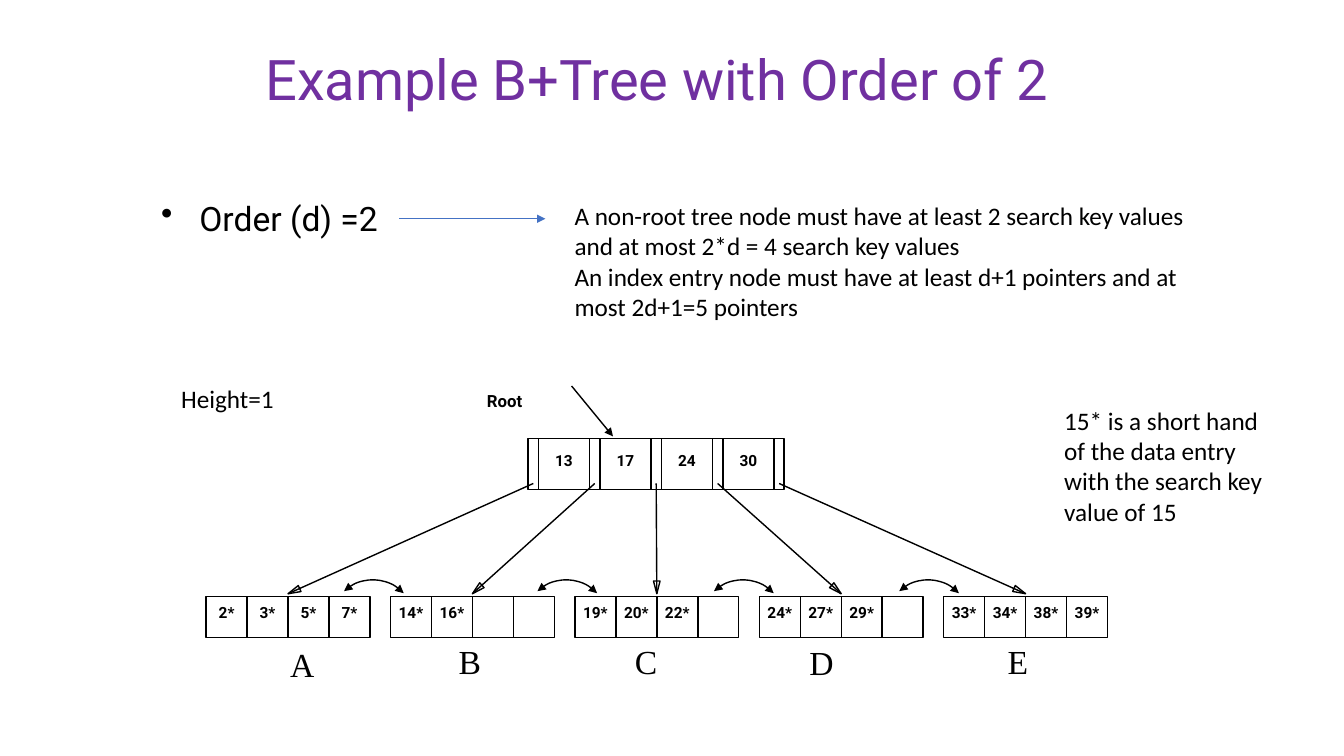
"""Build the slide that explains a B+ tree of order 2."""
import math
from dataclasses import dataclass

import pptx
import pptx.dml.color
import pptx.enum.dml
import pptx.enum.shapes
import pptx.enum.text
import pptx.oxml
import pptx.oxml.ns
import pptx.util

RGBColor = pptx.dml.color.RGBColor
PURPLE = RGBColor(0x70, 0x30, 0xA0)
BLUE = RGBColor(0x44, 0x72, 0xC4)
BLACK = RGBColor(0, 0, 0)

SLIDE_WIDTH = pptx.util.Emu(12192000)
SLIDE_HEIGHT = pptx.util.Inches(7.5)
COLUMN = SLIDE_WIDTH / 32.8

SLOT, KEY, NODE_HEIGHT = 0.25, 1.25, 1.25
ROOT_LEFT, ROOT_TOP = 12.89, 10.70
ROOT_KEYS = ("13", "17", "24", "30")
LEAF_LEFT, LEAF_TOP, LEAF_PITCH, LEAF_CELLS = 5.03, 14.56, 4.5, 4
POINTER_START, POINTER_TIP = ROOT_TOP + 1.1, LEAF_TOP - 0.07
HEAD_LENGTH, HEAD_HALF = 0.31, 0.08
SIBLING_CENTRES = (9.10, 13.82, 18.13, 22.65)
SIBLING_MIDDLE, SIBLING_RADIUS = 15.18, 1.03


@dataclass(frozen=True)
class Box:
    """A place on the slide, in grid columns."""
    left: float
    top: float
    width: float
    height: float

    def emu(self) -> tuple[int, ...]:
        """Give the place in slide units."""
        return tuple(grid(n) for n in (self.left, self.top, self.width, self.height))


@dataclass(frozen=True)
class Style:
    """The look of a run."""
    font: str
    size: float
    bold: bool = False
    color: RGBColor = BLACK


@dataclass(frozen=True)
class Note:
    """A free-standing text."""
    box: Box
    style: Style
    paragraphs: tuple[str, ...]
    wrap: bool = False


@dataclass(frozen=True)
class Leaf:
    """A leaf node with the place of its letter."""
    letter: str
    entries: tuple[str, ...]
    letter_left: float
    letter_top: float = 15.52


@dataclass(frozen=True)
class Arrow:
    """A straight arrow between two grid points."""
    start: tuple[float, float]
    end: tuple[float, float]
    color: RGBColor = BLACK
    width: float = 1
    head: bool = True


TITLE = Style("Roboto", 40, color=PURPLE)
BULLET = Style("Roboto", 24)
BODY = Style("Calibri", 18)
LETTER = Style("Times New Roman", 24)
ROOT_LABEL = Style("Roboto", 12, True)
ENTRY = Style("Roboto", 11, True)

LEAVES = (
    Leaf("A", ("2*", "3*", "5*", "7*"), 6.84, 15.60),
    Leaf("B", ("14*", "16*"), 10.95),
    Leaf("C", ("19*", "20*", "22*"), 15.25),
    Leaf("D", ("24*", "27*", "29*"), 19.51, 15.55),
    Leaf("E", ("33*", "34*", "38*", "39*"), 24.35),
)
NOTES = (
    Note(Box(11.64, 9.42, 1.38, 0.74), ROOT_LABEL, ("Root",)),
    Note(Box(4.18, 9.23, 2.78, 0.98), BODY, ("Height=1",)),
    Note(Box(25.73, 9.77, 5.83, 3.22), BODY,
         ("15* is a short hand of the data entry with the search key value of 15",), True),
    Note(Box(13.78, 4.77, 16.41, 3.22), BODY,
         ("A non-root tree node must have at least 2 search key values and at most 2*d = 4 search key values",
          "An index entry node must have at least d+1 pointers and at most 2d+1=5 pointers"), True),
)
ARROWS = (
    Arrow((13.95, 9.42), (14.96, 10.65)),
    Arrow((9.74, 5.34), (13.31, 5.34), BLUE, 0.5),
)


def grid(columns: float) -> int:
    """Turn grid columns into slide units."""
    return round(columns * COLUMN)


def write(paragraph, text: str, style: Style) -> None:
    """Add one styled run."""
    run = paragraph.add_run()
    run.text = text
    run.font.name, run.font.size, run.font.bold = style.font, pptx.util.Pt(style.size), style.bold
    run.font.color.rgb = style.color


def add_note(slide, note: Note):
    """Draw a text box and return its frame."""
    frame = slide.shapes.add_textbox(*note.box.emu()).text_frame
    frame.word_wrap = note.wrap
    for index, text in enumerate(note.paragraphs):
        write(frame.add_paragraph() if index else frame.paragraphs[0], text, note.style)
    return frame


def outline(shape, color: RGBColor = BLACK) -> None:
    """Leave only a thin line around a shape."""
    shape.shadow.inherit = False
    shape.fill.background()
    shape.line.color.rgb = color
    shape.line.width = pptx.util.Pt(1)


def add_ends(shape, *ends: str) -> None:
    """Put triangles on the named line ends."""
    line = shape.element.spPr.find(pptx.oxml.ns.qn("a:ln"))
    for end in ends:
        line.append(pptx.oxml.parse_xml(f'<a:{end} {pptx.oxml.ns.nsdecls("a")} type="triangle"/>'))


def add_cell(slide, box: Box, text: str = "", drop: float = 0) -> None:
    """Draw a node cell with its key dropped from the top edge."""
    cell = slide.shapes.add_shape(pptx.enum.shapes.MSO_SHAPE.RECTANGLE, *box.emu())
    outline(cell)
    if text:
        frame = cell.text_frame
        frame.word_wrap = False
        frame.vertical_anchor = pptx.enum.text.MSO_ANCHOR.TOP
        frame.margin_left = frame.margin_right = frame.margin_bottom = 0
        frame.margin_top = grid(drop)
        frame.paragraphs[0].alignment = pptx.enum.text.PP_ALIGN.CENTER
        write(frame.paragraphs[0], text, ENTRY)


def add_arrow(slide, arrow: Arrow) -> None:
    """Draw a straight arrow."""
    points = [grid(n) for n in (*arrow.start, *arrow.end)]
    line = slide.shapes.add_connector(pptx.enum.shapes.MSO_CONNECTOR.STRAIGHT, *points)
    line.line.color.rgb = arrow.color
    line.line.width = pptx.util.Pt(arrow.width)
    if arrow.head:
        add_ends(line, "tailEnd")
    line.element.spPr.append(pptx.oxml.parse_xml(f'<a:effectLst {pptx.oxml.ns.nsdecls("a")}/>'))


def add_pointer(slide, start: tuple[float, float], tip: tuple[float, float]) -> None:
    """Draw a child pointer with a hollow head."""
    add_arrow(slide, Arrow(start, tip, head=False))
    angle = math.atan2(tip[1] - start[1], tip[0] - start[0])
    along, across = math.cos(angle), math.sin(angle)
    corners = [(grid(tip[0] - HEAD_LENGTH * along - side * across),
                grid(tip[1] - HEAD_LENGTH * across + side * along))
               for side in (-HEAD_HALF, HEAD_HALF)]
    builder = slide.shapes.build_freeform(grid(tip[0]), grid(tip[1]))
    builder.add_line_segments(corners, close=True)
    outline(builder.convert_to_shape())


def add_sibling_link(slide, centre: float) -> None:
    """Draw the two-way arc between neighbouring leaves."""
    box = Box(centre - SIBLING_RADIUS, SIBLING_MIDDLE - SIBLING_RADIUS,
              2 * SIBLING_RADIUS, 2 * SIBLING_RADIUS)
    arc = slide.shapes.add_shape(pptx.enum.shapes.MSO_SHAPE.ARC, *box.emu())
    arc.rotation = 317
    outline(arc)
    add_ends(arc, "headEnd", "tailEnd")


def add_tree(slide) -> None:
    """Draw the root, the leaves and their links."""
    for index in range(len(ROOT_KEYS) + 1):
        left = ROOT_LEFT + index * (SLOT + KEY)
        add_cell(slide, Box(left, ROOT_TOP, SLOT, NODE_HEIGHT))
        if index < len(ROOT_KEYS):
            add_cell(slide, Box(left + SLOT, ROOT_TOP, KEY, NODE_HEIGHT), ROOT_KEYS[index], 0.32)
    for index, leaf in enumerate(LEAVES):
        left = LEAF_LEFT + index * LEAF_PITCH
        for cell in range(LEAF_CELLS):
            entry = leaf.entries[cell] if cell < len(leaf.entries) else ""
            add_cell(slide, Box(left + cell, LEAF_TOP, 1, 1), entry, 0.15)
        slot_centre = ROOT_LEFT + index * (SLOT + KEY) + SLOT / 2
        add_pointer(slide, (slot_centre, POINTER_START), (left + LEAF_CELLS / 2, POINTER_TIP))
        add_note(slide, Note(Box(leaf.letter_left, leaf.letter_top, 1.1, 1.23), LETTER, (leaf.letter,)))
    for centre in SIBLING_CENTRES:
        add_sibling_link(slide, centre)


def add_heading(slide) -> None:
    """Fill the title and the bulleted line."""
    title = slide.shapes.title
    title.left, title.top, title.width, title.height = Box(5.58, 0.42, 20.91, 2.98).emu()
    title.text_frame.vertical_anchor = pptx.enum.text.MSO_ANCHOR.MIDDLE
    title.text_frame.paragraphs[0].alignment = pptx.enum.text.PP_ALIGN.CENTER
    write(title.text_frame.paragraphs[0], "Example B+Tree with Order of 2", TITLE)
    order = add_note(slide, Note(Box(3.69, 4.70, 24.77, 4.31), BULLET, ("Order (d) =2",), True)).paragraphs[0]
    order.space_before = pptx.util.Pt(4.8)
    properties = order.runs[0].font and order.runs[0]._r.getparent().get_or_add_pPr()
    indent = pptx.util.Inches(0.38)
    properties.set("marL", str(indent))
    properties.set("indent", str(-indent))
    properties.append(pptx.oxml.parse_xml(f'<a:buChar {pptx.oxml.ns.nsdecls("a")} char="•"/>'))


def main() -> None:
    """Build and save the slide."""
    deck = pptx.Presentation()
    deck.slide_width, deck.slide_height = SLIDE_WIDTH, SLIDE_HEIGHT
    slide = deck.slides.add_slide(deck.slide_layouts[5])
    add_heading(slide)
    add_tree(slide)
    for note in NOTES:
        add_note(slide, note)
    for arrow in ARROWS:
        add_arrow(slide, arrow)
    deck.save("out.pptx")


main()
